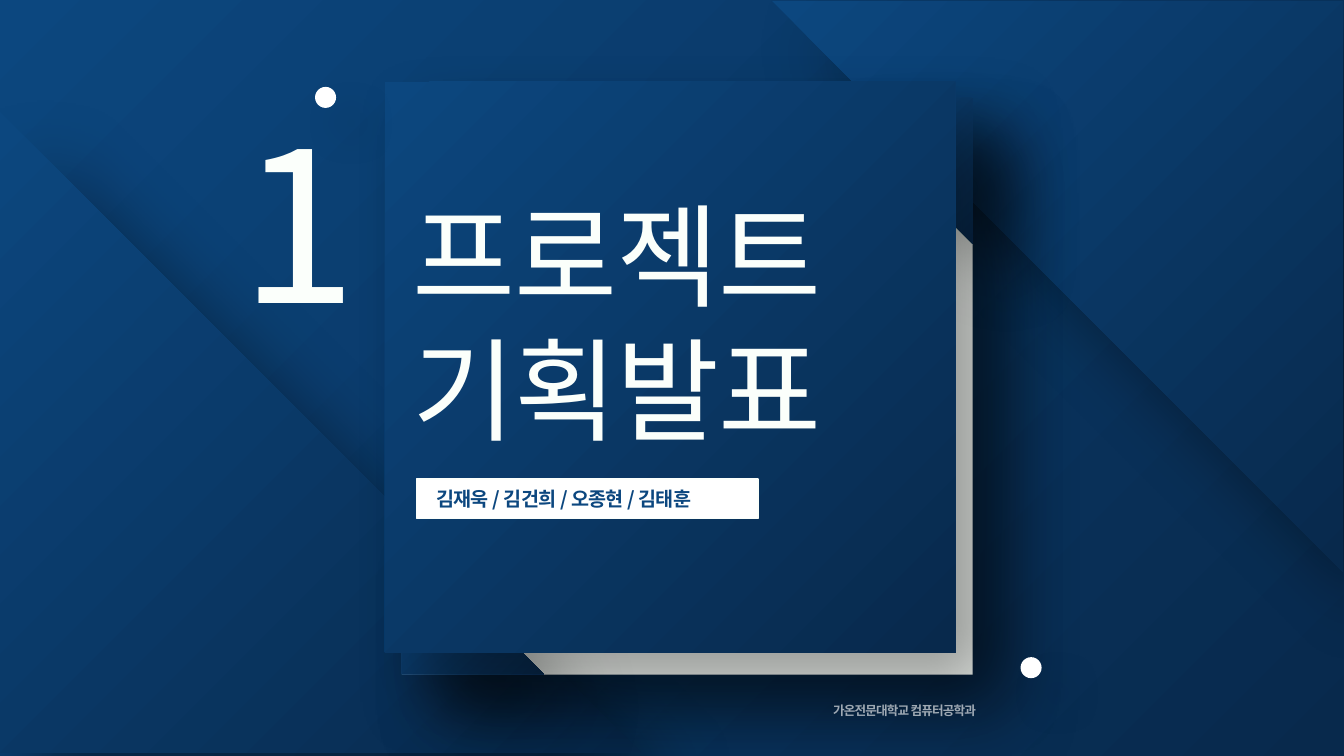
from lxml.etree import SubElement
from pptx import Presentation
from pptx.dml.color import RGBColor
from pptx.enum.shapes import MSO_SHAPE as SHAPE
from pptx.enum.text import MSO_ANCHOR, PP_ALIGN as ALIGN
from pptx.oxml import parse_xml
from pptx.oxml.ns import nsdecls, qn
from pptx.util import Cm, Pt

COLORS = {"dark": "08294C", "blue": "0C477F", "paper": "FBFFFB",
          "white": "FFFFFF", "shadow": "000000"}
FONT = "Noto Sans CJK KR"
LETTER_SPACING = -0.6

NUMBER = "1"
TITLE = ["프로젝트", "기획발표"]
MEMBERS = ["김재욱", "김건희", "오종현", "김태훈"]
SCHOOL = "가온전문대학교 컴퓨터공학과"

# shadow: opacity %, blur pt, distance pt
DEEP, SOFT = (39, 53, 41), (17, 30, 26)
SQUARE = 14.38
# preset, left, top, size, rotation, fill (cm)
PANELS = [
    (SHAPE.ISOSCELES_TRIANGLE, 19.46, 0.03, SQUARE, 180, "gradient"),
    (SHAPE.ISOSCELES_TRIANGLE, 0, 2.82, 16.15, 0, "gradient"),
    (SHAPE.RECTANGLE, 10.13, 2.62, SQUARE, 0, "paper"),
    (SHAPE.ISOSCELES_TRIANGLE, 10.13, 13.41, 3.58, 0, "gradient"),
    (SHAPE.ISOSCELES_TRIANGLE, 20.83, 2.46, 3.68, 180, "gradient"),
    (SHAPE.RECTANGLE, 9.7, 2.06, SQUARE, 0, "gradient"),
]
DOTS = [(25.72, 16.56), (7.94, 2.19)]
DOT_SIZE = 0.53


def rgb(name):
    return RGBColor.from_string(COLORS[name])


def set_gradient(holder):
    """Swap the solid fill of an XML element for a glow from the lower right corner."""
    grad = parse_xml(
        f'<a:gradFill {nsdecls("a")} rotWithShape="0"><a:gsLst>'
        f'<a:gs pos="0"><a:srgbClr val="{COLORS["dark"]}"/></a:gs>'
        f'<a:gs pos="100000"><a:srgbClr val="{COLORS["blue"]}"/></a:gs></a:gsLst>'
        '<a:path path="circle"><a:fillToRect l="100000" t="100000"/></a:path>'
        '</a:gradFill>')
    holder.replace(holder.find(qn("a:solidFill")), grad)


def set_shadow(sp, opacity, blur, distance):
    sp.shadow.inherit = False
    effects = sp._element.spPr.find(qn("a:effectLst"))
    effects.append(parse_xml(
        f'<a:outerShdw {nsdecls("a")} blurRad="{Pt(blur)}" dist="{Pt(distance)}" '
        'dir="2700000" algn="tl" rotWithShape="0">'
        f'<a:srgbClr val="{COLORS["shadow"]}"><a:alpha val="{opacity * 1000}"/>'
        '</a:srgbClr></a:outerShdw>'))


def add_shape(preset, left, top, width, height, fill):
    sp = slide.shapes.add_shape(preset, Cm(left), Cm(top), Cm(width), Cm(height))
    sp.shadow.inherit = False
    sp.line.fill.background()
    sp.fill.solid()
    if fill == "gradient":
        set_gradient(sp._element.spPr)
    else:
        sp.fill.fore_color.rgb = rgb(fill)
    return sp


def set_frame(sp, inset_x, inset_y, align, line_spacing=None):
    """Prepare the text frame and return its first paragraph."""
    tf = sp.text_frame
    tf.word_wrap = True
    tf.vertical_anchor = MSO_ANCHOR.MIDDLE
    tf.margin_left = tf.margin_right = Cm(inset_x)
    tf.margin_top = tf.margin_bottom = Cm(inset_y)
    p = tf.paragraphs[0]
    p.alignment = align
    p.line_spacing = line_spacing
    return p


def add_box(left, top, width, height, *frame):
    box = slide.shapes.add_textbox(Cm(left), Cm(top), Cm(width), Cm(height))
    return set_frame(box, *frame)


def add_run(p, text, size, color, bold=False):
    r = p.add_run()
    r.text = text
    r.font.size = Pt(size)
    r.font.bold = bold
    r.font.name = FONT
    r.font.color.rgb = rgb(color)
    props = r.font._element
    props.set("spc", str(round(LETTER_SPACING * 100)))
    SubElement(props, qn("a:ea")).set("typeface", FONT)
    return r


prs = Presentation()
prs.slide_width, prs.slide_height = Cm(33.87), Cm(19.05)
slide = prs.slides.add_slide(prs.slide_layouts[6])
slide.background.fill.solid()
set_gradient(slide._element.xpath(".//p:bgPr")[0])

for preset, left, top, size, rotation, fill in PANELS:
    panel = add_shape(preset, left, top, size, size, fill)
    panel.rotation = rotation
    if preset == SHAPE.ISOSCELES_TRIANGLE:
        panel.adjustments[0] = 0
    set_shadow(panel, *DEEP)

label = add_shape(SHAPE.PLAQUE, 10.49, 12.07, 8.61, 0.99, "white")
label.adjustments[0] = 0
label.line.color.rgb = rgb("paper")
label.line.width = Pt(1)
p = set_frame(label, 0.51, 0.13, ALIGN.JUSTIFY)
add_run(p, " / ".join(MEMBERS), 14, "blue", True)

p = add_box(10.19, 17.12, 14.4, 1.35, 0, 0, ALIGN.RIGHT, 1.5)
r = add_run(p, SCHOOL, 9, "white", True)
color = r.font._element.find(qn("a:solidFill"))[0]
SubElement(color, qn("a:alpha")).set("val", "62000")

p = add_box(10.14, 4.85, 13.61, 6.45, 0.25, 0.13, ALIGN.LEFT)
for i, line in enumerate(TITLE):
    if i:
        p.add_line_break()
    add_run(p, line, 80, "paper")

for left, top in DOTS:
    dot = add_shape(SHAPE.OVAL, left, top, DOT_SIZE, DOT_SIZE, "white")
    set_shadow(dot, *SOFT)

p = add_box(5.81, 2.31, 4.29, 6.45, 0.25, 0.13, ALIGN.LEFT)
add_run(p, NUMBER, 150, "paper")

prs.save("out.pptx")
